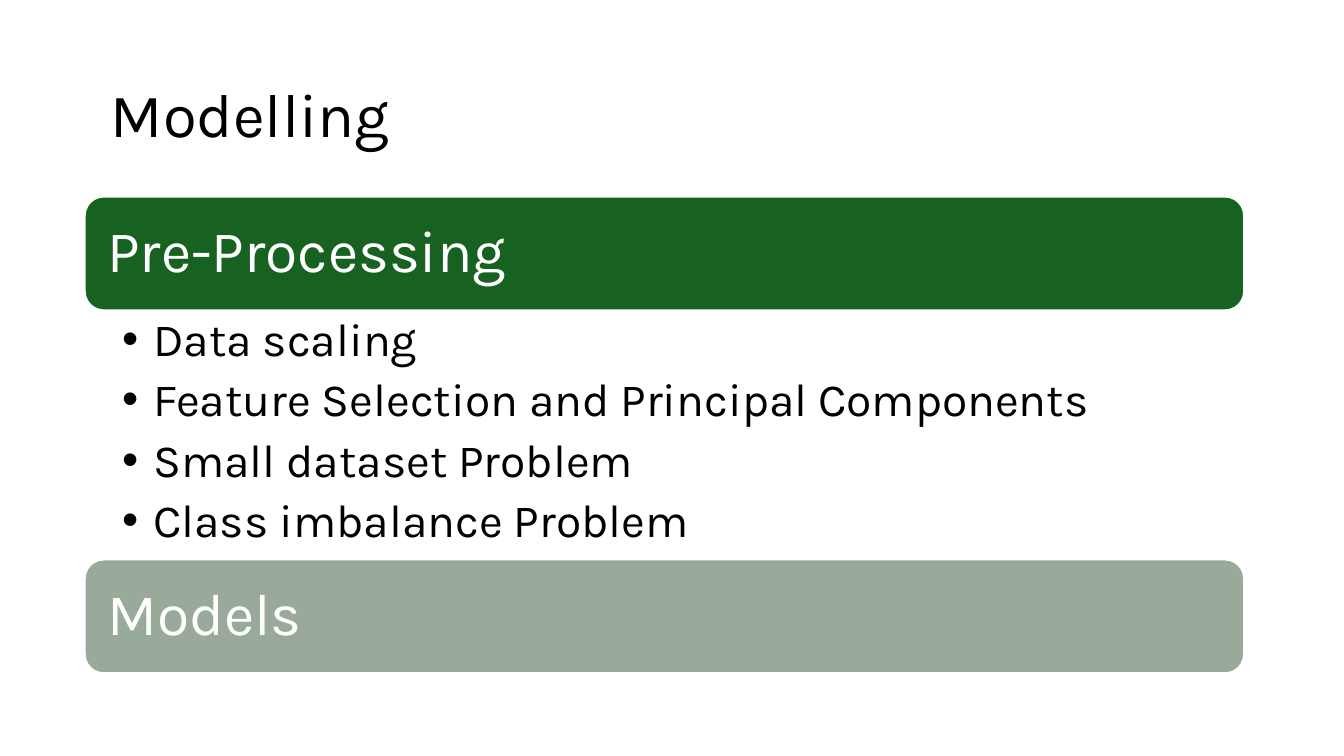
import pptx
import pptx.util
import pptx.dml.color
import pptx.enum.shapes
import pptx.enum.text
import pptx.oxml

TITLE = "Modelling"
BANNERS = [("Pre-Processing", "176121"), ("Models", "99AA9A")]
STEPS = [
    "Data scaling",
    "Feature Selection and Principal Components",
    "Small dataset Problem",
    "Class imbalance Problem",
]
FONT = "Karla"
BLACK, WHITE = "000000", "FFFFFF"

PAGE_WIDTH, PAGE_HEIGHT = 13.33, 7.5
LEFT, TOP, WIDTH = 0.84, 1.95, 11.5
BANNER_HEIGHT, LIST_HEIGHT = 1.13, 2.47
BULLET_INDENT = 0.31

inches = pptx.util.Inches
points = pptx.util.Pt


def rgb(value):
    return pptx.dml.color.RGBColor.from_string(value)


def place(box, left, top, width, height):
    box.left, box.top = inches(left), inches(top)
    box.width, box.height = inches(width), inches(height)


def write(box, lines, size, color, anchor="MIDDLE", insets=(0.1, 0.05, 0.1, 0.05),
          after=0, bullet=None):
    """Fill a box with left-aligned paragraphs; insets run left, top, right, bottom."""
    frame = box.text_frame
    frame.text = "\n".join(lines)
    frame.word_wrap = True
    frame.auto_size = pptx.enum.text.MSO_AUTO_SIZE.NONE
    frame.vertical_anchor = pptx.enum.text.MSO_ANCHOR[anchor]
    (frame.margin_left, frame.margin_top,
     frame.margin_right, frame.margin_bottom) = map(inches, insets)
    for para in frame.paragraphs:
        para.alignment = pptx.enum.text.PP_ALIGN.LEFT
        para.line_spacing = 0.9
        para.space_before, para.space_after = points(0), points(after)
        if bullet:
            add_bullet(para, bullet)
        for span in para.runs:
            span.font.name, span.font.size = FONT, points(size)
            span.font.color.rgb = rgb(color)


def add_bullet(para, mark):
    para.level = 1
    settings = para._p.get_or_add_pPr()
    settings.set("marL", str(inches(BULLET_INDENT)))
    settings.set("indent", str(-inches(BULLET_INDENT)))
    namespace = "http://schemas.openxmlformats.org/drawingml/2006/main"
    for tag in (f'buFont xmlns:a="{namespace}" typeface="Arial"',
                f'buChar xmlns:a="{namespace}" char="{mark}"'):
        settings.append(pptx.oxml.parse_xml(f"<a:{tag}/>"))


def add_banner(page, text, fill, top):
    banner = page.shapes.add_shape(
        pptx.enum.shapes.MSO_SHAPE.ROUNDED_RECTANGLE,
        inches(LEFT), inches(top), inches(WIDTH), inches(BANNER_HEIGHT))
    banner.shadow.inherit = False
    banner.fill.solid()
    banner.fill.fore_color.rgb = rgb(fill)
    banner.line.color.rgb = rgb(WHITE)
    banner.line.width = points(1.5)
    write(banner, [text], 42, WHITE, insets=(0.17, 0.17, 0.17, 0.17))


def main():
    deck = pptx.Presentation()
    deck.slide_width, deck.slide_height = inches(PAGE_WIDTH), inches(PAGE_HEIGHT)
    page = deck.slides.add_slide(deck.slide_layouts[1])

    title, body = page.placeholders
    place(title, 1, 0.44, WIDTH, 1.45)
    write(title, [TITLE], 44, BLACK)

    for row, (text, fill) in enumerate(BANNERS):
        add_banner(page, text, fill, TOP + row * (BANNER_HEIGHT + LIST_HEIGHT))

    place(body, LEFT, TOP + BANNER_HEIGHT, WIDTH, LIST_HEIGHT)
    write(body, STEPS, 33, BLACK, anchor="TOP", insets=(0.37, 0.06, 0.33, 0.06),
          after=7.5, bullet="•")

    deck.save("out.pptx")


if __name__ == "__main__":
    main()
